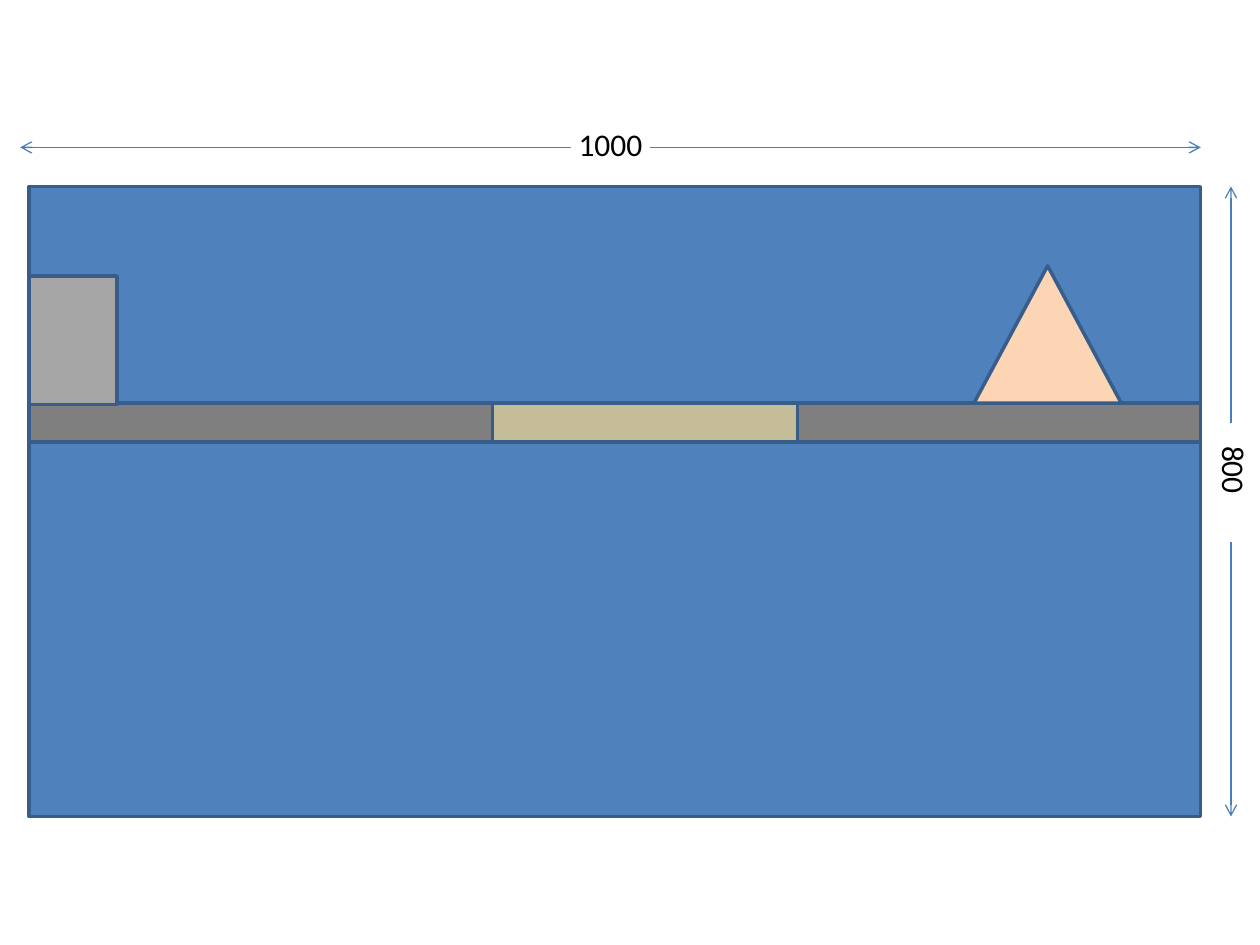
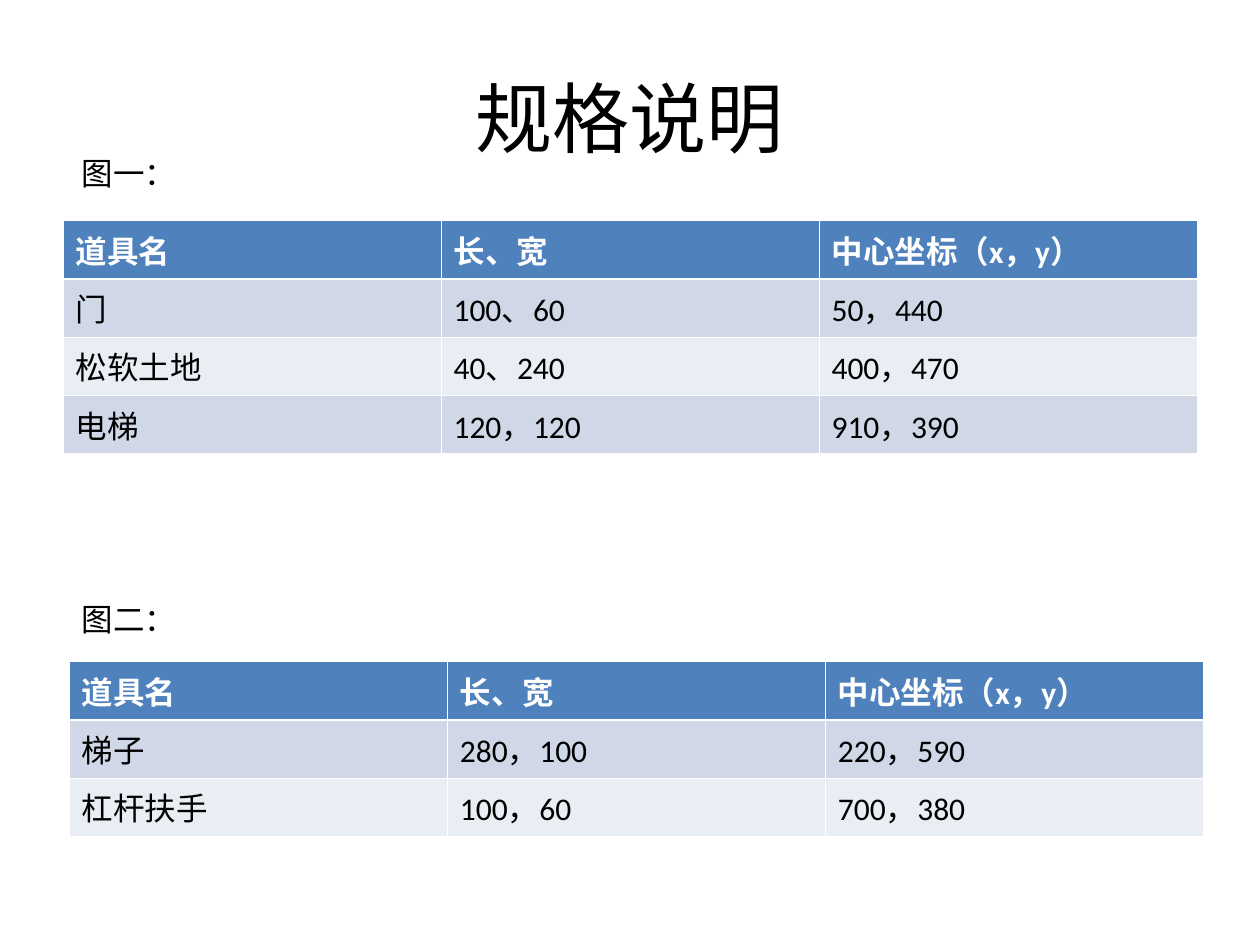
from dataclasses import dataclass

from lxml import etree
from pptx import Presentation
from pptx import util as u
from pptx.dml.color import RGBColor
from pptx.enum import shapes, text
from pptx.oxml import ns


@dataclass(frozen=True)
class Theme:
    font: str = "Calibri"
    title_size: float = 44
    body_size: float = 18
    outline_width: float = 2
    arrow_width: float = 0.75
    border_width: float = 0.45
    header_border_width: float = 1.47
    ink: str = "000000"
    white: str = "FFFFFF"
    blue: str = "4F81BD"
    outline: str = "385D8A"
    arrow: str = "4A7EBB"
    floor: str = "7F7F7F"
    soil: str = "C4BD97"
    lift: str = "FCD5B5"
    door: str = "A6A6A6"
    odd_row: str = "D0D8E8"
    even_row: str = "E9EDF4"


THEME = Theme()
SHAPE = shapes.MSO_SHAPE
ALIGN = text.PP_ALIGN
HEADINGS = ("道具名", "长、宽", "中心坐标（x，y）")
FIRST_PROPS = (
    ("门", "100、60", "50，440"),
    ("松软土地", "40、240", "400，470"),
    ("电梯", "120，120", "910，390"),
)
SECOND_PROPS = (
    ("梯子", "280，100", "220，590"),
    ("杠杆扶手", "100，60", "700，380"),
)


def inches(*values):
    return [u.Inches(value) for value in values]


def write(frame, words, size=THEME.body_size, color=THEME.ink, bold=False, align=ALIGN.LEFT):
    para = frame.paragraphs[0]
    para.alignment = align
    span = para.add_run()
    span.text = words
    formats = {"name": THEME.font, "size": u.Pt(size), "bold": bold}
    for name, value in formats.items():
        setattr(span.font, name, value)
    span.font.color.rgb = RGBColor.from_string(color)


def add_block(page, kind, area, fill):
    block = page.shapes.add_shape(kind, *inches(*area))
    block.shadow.inherit = False
    block.fill.solid()
    block.fill.fore_color.rgb = RGBColor.from_string(fill)
    block.line.color.rgb = RGBColor.from_string(THEME.outline)
    block.line.width = u.Pt(THEME.outline_width)


def add_arrow(page, start, end):
    arrow = page.shapes.add_connector(shapes.MSO_CONNECTOR.STRAIGHT, *inches(*start, *end))
    arrow.line.color.rgb = RGBColor.from_string(THEME.arrow)
    arrow.line.width = u.Pt(THEME.arrow_width)
    properties = arrow._element.spPr
    etree.SubElement(properties.find(ns.qn("a:ln")), ns.qn("a:tailEnd"), type="arrow")
    etree.SubElement(properties, ns.qn("a:effectLst"))


def add_label(page, area, words, align=ALIGN.LEFT, vertical=False):
    box = page.shapes.add_textbox(*inches(*area))
    frame = box.text_frame
    frame.word_wrap = True
    if vertical:
        box._element.txBody.find(ns.qn("a:bodyPr")).set("vert", "eaVert")
        sides = inches(0.05, 0.1, 0.05, 0.1)
        for side, margin in zip(("left", "top", "right", "bottom"), sides):
            setattr(frame, f"margin_{side}", margin)
    write(frame, words, align=align)


def add_title(page, words):
    title = page.shapes.title
    area = inches(0.5, 0.3, 9, 1.25)
    for name, value in zip(("left", "top", "width", "height"), area):
        setattr(title, name, value)
    title.text_frame.vertical_anchor = text.MSO_ANCHOR.MIDDLE
    write(title.text_frame, words, THEME.title_size, align=ALIGN.CENTER)


def set_borders(cell, row):
    properties = cell._tc.get_or_add_tcPr()
    widths = dict.fromkeys(("lnL", "lnR", "lnT", "lnB"), THEME.border_width)
    if row < 2:
        widths["lnB" if row == 0 else "lnT"] = THEME.header_border_width
    for side, width in widths.items():
        line = etree.SubElement(properties, ns.qn(f"a:{side}"), w=str(u.Pt(width)))
        fill = etree.SubElement(line, ns.qn("a:solidFill"))
        etree.SubElement(fill, ns.qn("a:srgbClr"), val=THEME.white)


def add_prop_table(page, left, top, props):
    rows = (HEADINGS, *props)
    area = inches(left, top, 9, 0.4 * len(rows))
    table = page.shapes.add_table(len(rows), len(HEADINGS), *area).table
    for row, words in enumerate(rows):
        header = row == 0
        fill = THEME.blue if header else THEME.odd_row if row % 2 else THEME.even_row
        for column, value in enumerate(words):
            cell = table.cell(row, column)
            set_borders(cell, row)
            cell.fill.solid()
            cell.fill.fore_color.rgb = RGBColor.from_string(fill)
            color = THEME.white if header else THEME.ink
            write(cell.text_frame, value, color=color, bold=header)


def build_scene(deck):
    page = deck.slides.add_slide(deck.slide_layouts[6])
    left, top, width, height = 0.23, 1.48, 9.3, 5
    floor_top, floor_height = 3.2, 0.31
    ruler_y, ruler_x = 1.17, 9.77
    add_block(page, SHAPE.RECTANGLE, (left, top, width, height), THEME.blue)
    add_arrow(page, (4.53, ruler_y), (0.16, ruler_y))
    add_arrow(page, (5.16, ruler_y), (left + width, ruler_y))
    add_label(page, (3.91, 0.94, 1.87, 0.4), "1000", ALIGN.CENTER)
    add_arrow(page, (ruler_x, 3.36), (ruler_x, top))
    add_arrow(page, (ruler_x, 4.3), (ruler_x, top + height))
    add_label(page, (9.5, 3.44, 0.5, 0.78), "800", ALIGN.CENTER, vertical=True)
    add_block(page, SHAPE.RECTANGLE, (left, floor_top, width, floor_height), THEME.floor)
    add_block(page, SHAPE.RECTANGLE, (3.91, floor_top, 2.42, floor_height), THEME.soil)
    add_block(page, SHAPE.ISOSCELES_TRIANGLE, (7.73, 2.11, 1.17, 1.09), THEME.lift)
    add_block(page, SHAPE.RECTANGLE, (left, 2.19, 0.7, 1.02), THEME.door)


def build_specifications(deck):
    page = deck.slides.add_slide(deck.slide_layouts[5])
    add_title(page, "规格说明")
    add_prop_table(page, 0.5, 1.75, FIRST_PROPS)
    add_prop_table(page, 0.55, 5.25, SECOND_PROPS)
    for top, words in ((1.17, "图一："), (4.71, "图二：")):
        add_label(page, (0.55, top, 2.27, 0.4), words)


def main():
    deck = Presentation()
    deck.slide_width, deck.slide_height = inches(10, 7.5)
    build_scene(deck)
    build_specifications(deck)
    deck.save("out.pptx")


if __name__ == "__main__":
    main()
